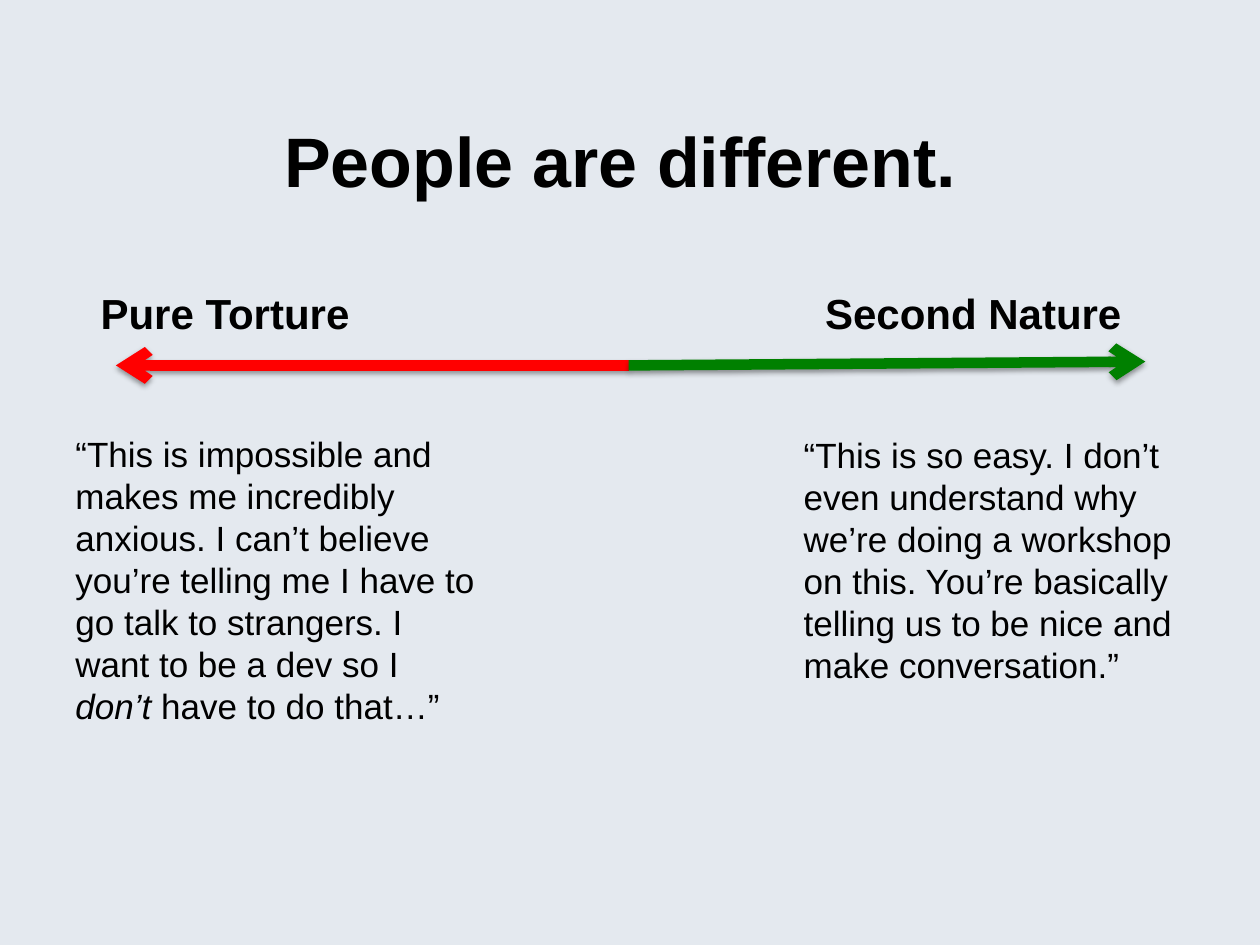
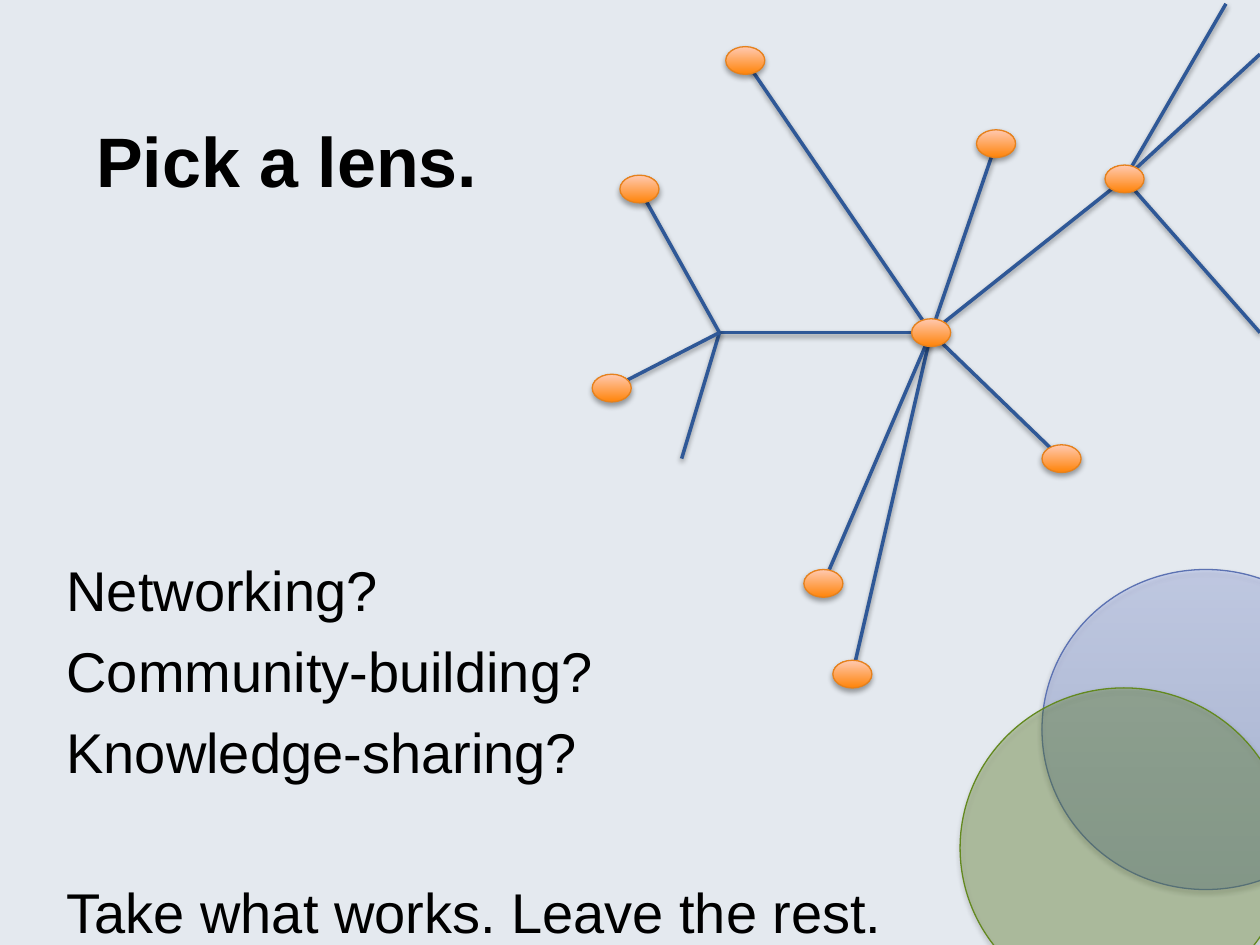
from lxml import etree
from pptx import Presentation, util as u
from pptx.dml.color import RGBColor
from pptx.enum import shapes, text
from pptx.oxml import ns

COLS, ROWS = 100, 75
FONT = "Arial"
HUES = {
    "ground": "E4E9EF", "ink": "000000", "red": "FF0000", "green": "008000",
    "link": "2F5897", "node": "FF8409", "node_top": "FFC9B1", "node_rim": "E6811C",
    "blue": "5370C1", "blue_top": "A6B7FC", "blue_rim": "5C72B2", "moss": "63891F",
}

deck = Presentation()
deck.slide_width, deck.slide_height = u.Inches(10), u.Inches(7.5)


def hue(name):
    return RGBColor.from_string(HUES[name])


def across(cols):
    return round(cols * deck.slide_width / COLS)


def down(rows):
    return round(rows * deck.slide_height / ROWS)


def frame(box):
    left, top, width, height = box
    return across(left), down(top), across(width), down(height)


def within(box, part):
    """Shift a point or a rectangle from the box's own grid to the slide's."""
    return (box[0] + part[0], box[1] + part[1], *part[2:])


def child(parent, tag, **attrs):
    node = etree.SubElement(parent, ns.qn(tag))
    for key, value in attrs.items():
        node.set(key, str(value))
    return node


def shade(shape, dist, alpha):
    """Cast a soft black shadow straight down; call after fill and line are set."""
    list_ = child(shape.element.spPr, "a:effectLst")
    cast = child(list_, "a:outerShdw", blurRad=u.Pt(3.1), dist=u.Pt(dist),
                 dir=5400000, rotWithShape=0)
    black = child(cast, "a:srgbClr", val=HUES["ink"])
    child(black, "a:alpha", val=alpha * 1000)


def write(slide, box, lines, size, bold=False, align=text.PP_ALIGN.LEFT,
          anchor=text.MSO_ANCHOR.TOP, gaps=()):
    """Set one paragraph per line; words between asterisks turn italic."""
    body = slide.shapes.add_textbox(*frame(box)).text_frame
    body.word_wrap = True
    body.vertical_anchor = anchor
    for i, line in enumerate(lines):
        para = body.paragraphs[0] if i == 0 else body.add_paragraph()
        para.alignment = align
        if i and gaps:
            para.space_before = u.Pt(gaps[i - 1])
        for j, part in enumerate(line.split("*")):
            run = para.add_run()
            run.text = part
            font = run.font
            font.name, font.size, font.bold = FONT, u.Pt(size), bold
            font.italic = j % 2 == 1
            font.color.rgb = hue("ink")


def stroke(slide, start, end, color, width, arrow=False):
    line = slide.shapes.add_connector(
        shapes.MSO_CONNECTOR.STRAIGHT, across(start[0]), down(start[1]),
        across(end[0]), down(end[1]))
    line.line.color.rgb = hue(color)
    line.line.width = u.Pt(width)
    if arrow:
        child(line.element.spPr.find(ns.qn("a:ln")), "a:tailEnd", type="arrow")
    shade(line, 1.6, 38)


def disc(slide, box, fills, rim, alpha=100):
    """Draw an ellipse in one colour, or in two that blend from foot to top."""
    oval = slide.shapes.add_shape(shapes.MSO_SHAPE.OVAL, *frame(box))
    if len(fills) == 1:
        oval.fill.solid()
        oval.fill.fore_color.rgb = hue(fills[0])
    else:
        oval.fill.gradient()
        oval.fill.gradient_angle = 90
        for stop, name in zip(oval.fill.gradient_stops, fills):
            stop.color.rgb = hue(name)
    if alpha < 100:
        for tint in oval.element.spPr.iter(ns.qn("a:srgbClr")):
            child(tint, "a:alpha", val=alpha * 1000)
    oval.line.color.rgb = hue(rim)
    oval.line.width = u.Pt(0.75)
    shade(oval, 1.8, 35)


def page(title, left, width):
    slide = deck.slides.add_slide(deck.slide_layouts[6])
    slide.background.fill.solid()
    slide.background.fill.fore_color.rgb = hue("ground")
    write(slide, (left, 6.4, width, 12.5), [title], 40, True,
          text.PP_ALIGN.CENTER, text.MSO_ANCHOR.MIDDLE)
    return slide


def scale(slide, box):
    """Two arrows from a shared middle, each with a label above and a quote below."""
    mid = within(box, (44.9, 6.7))
    poles = [
        ("red", (4.2, 6.7), "Pure Torture", (2, 0, 34.2, 5), (0, 11.5, 34.2, 24.6),
         "“This is impossible and makes me incredibly anxious. I can’t believe "
         "you’re telling me I have to go talk to strangers. I want to be a dev "
         "so I *don’t* have to do that…”"),
        ("green", (85.9, 6.4), "Second Nature", (59.5, 0, 26.4, 5),
         (57.8, 11.6, 34.2, 21.2),
         "“This is so easy. I don’t even understand why we’re doing a workshop "
         "on this. You’re basically telling us to be nice and make conversation.”"),
    ]
    for color, tip, label, head, foot, quote in poles:
        stroke(slide, mid, within(box, tip), color, 6, arrow=True)
        write(slide, within(box, head), [label], 24, True)
        write(slide, within(box, foot), [quote], 20)


def web(slide, box):
    """A net of links with a disc on each named node; the other points stay bare."""
    nodes = {
        "top": (12.15, 4.8), "left": (3.75, 15), "low": (1.55, 30.8),
        "up": (32.05, 11.4), "hub": (26.9, 26.4), "south": (18.35, 46.3),
        "base": (20.65, 53.5), "east": (37.25, 36.4), "far": (42.25, 14.2),
    }
    bare = {
        "fork": (10.1, 26.4), "stub": (7.1, 36.4), "roof": (50.3, 0.3),
        "edge": (53, 4.3), "side": (53, 26.4),
    }
    links = {
        "hub": ["up", "fork", "base", "far", "top", "south", "east"],
        "fork": ["left", "stub", "low"],
        "far": ["roof", "side", "edge"],
    }
    spots = {name: within(box, at) for name, at in {**nodes, **bare}.items()}
    for start, ends in links.items():
        for end in ends:
            stroke(slide, spots[start], spots[end], "link", 2)
    wide, high = 3.1, 2.2
    for name in nodes:
        x, y = spots[name]
        disc(slide, (x - wide / 2, y - high / 2, wide, high),
             ["node", "node_top"], "node_rim")


def venn(slide, box):
    size = (26, 25.4)
    disc(slide, within(box, (6.5, 0, *size)), ["blue", "blue_top"], "blue_rim", 31)
    disc(slide, within(box, (0, 9.4, *size)), ["moss"], "moss", 31)


def main():
    scale(page("People are different. ", 5, 90), (5, 22.3, 92, 36.1))

    lens = page("Pick a lens.", 0, 45.5)
    write(lens, (4.3, 43.6, 90, 28.5),
          ["Networking?", "Community-building?", "Knowledge-sharing?",
           "Take what works. Leave the rest."], 32, gaps=(8, 8, 53))
    web(lens, (47, 0, 53, 54.6))
    venn(lens, (76.2, 45.2, 32.5, 34.8))
    deck.save("out.pptx")


if __name__ == "__main__":
    main()
